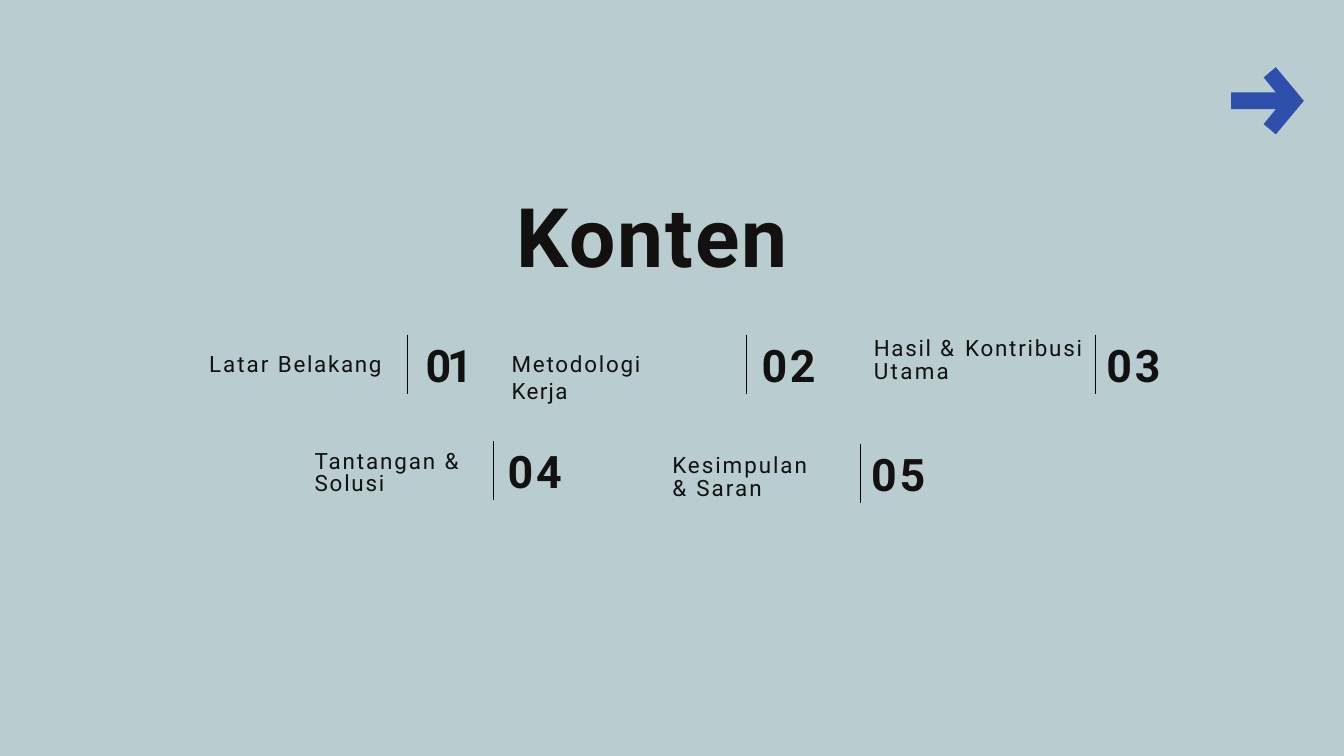
from dataclasses import dataclass

from lxml.etree import SubElement
from pptx import Presentation
from pptx.dml.color import RGBColor
from pptx.enum.shapes import MSO_CONNECTOR, MSO_SHAPE
from pptx.enum.text import MSO_ANCHOR, MSO_AUTO_SIZE, PP_ALIGN
from pptx.oxml.ns import qn
from pptx.util import Pt

COLORS = {"bg": "B9CCD0", "text": "12110F", "line": "000000", "arrow": "2E4FAC"}
FONT = "Roboto"
WIDTH, HEIGHT = 1440, 810
DIVIDER_H = 63.5
ARROW = [(1396.8, 108.4), (1367.3, 72.4), (1353.6, 83.2), (1366.6, 99.4),
         (1319, 99.4), (1319, 117.4), (1366.6, 117.4), (1353.6, 133.2),
         (1367.3, 144.4)]


@dataclass
class Item:
    number: str
    spacing: float
    label: list[tuple[str, float]]
    label_x: float
    label_y: float
    label_w: float
    divider_x: float
    divider_y: float
    number_x: float
    number_w: float = 70
    two_lines: bool = False


ITEMS = [
    Item("01", -4.4, [("Latar ", 2.1), ("Belakang", 1.8)],
         223.2, 374.4, 186.5, 436.3, 358.6, 455, number_w=55.4),
    Item("02", 2.8, [("Metodologi ", 1.9), ("Kerja", 1.4)],
         547.2, 374.4, 208.8, 799.9, 358.6, 815),
    Item("03", 3.2, [("Hasil ", 1.8), ("& ", 2.9), ("Kontribusi ", 1.9), ("Utama", 2.5)],
         935.3, 357.1, 232, 1174, 358.6, 1184.4, two_lines=True),
    Item("04", 3, [("Tantangan ", 2), ("& ", 2.4), ("Solusi", 1.9)],
         336.2, 477.6, 161.3, 528.2, 472.3, 542.9, two_lines=True),
    Item("05", 3.1, [("Kesimpulan ", 2.1), ("& ", 2.4), ("Saran", 2.2)],
         719.3, 482.6, 172.1, 921.6, 475.2, 932.4, two_lines=True),
]


def rgb(name: str) -> RGBColor:
    return RGBColor.from_string(COLORS[name])


def paint(sp, color: str) -> None:
    sp.shadow.inherit = False
    sp.fill.solid()
    sp.fill.fore_color.rgb = rgb(color)
    sp.line.fill.background()


def write(sp, runs: list[tuple[str, float]], *, size: float, bold: bool = False,
          inset: float = 0.7, leading: float | None = None) -> None:
    tf = sp.text_frame
    tf.word_wrap = True
    tf.auto_size = MSO_AUTO_SIZE.NONE
    tf.vertical_anchor = MSO_ANCHOR.TOP
    tf.margin_right = tf.margin_bottom = 0
    tf.margin_left = Pt(1)
    tf.margin_top = Pt(inset)
    p = tf.paragraphs[0]
    p.alignment = PP_ALIGN.LEFT
    if leading:
        p.line_spacing = Pt(leading)
    for text, spacing in runs:
        r = p.add_run()
        r.text = text
        r.font.name = FONT
        r.font.size = Pt(size)
        r.font.bold = bold
        r.font.color.rgb = rgb("text")
        r.font._element.set("spc", str(round(spacing * 100)))


def add_text(slide, x: float, y: float, w: float, h: float, runs, **fmt) -> None:
    write(slide.shapes.add_textbox(Pt(x), Pt(y), Pt(w), Pt(h)), runs, **fmt)


def add_divider(slide, x: float, y: float) -> None:
    line = slide.shapes.add_connector(
        MSO_CONNECTOR.STRAIGHT, Pt(x), Pt(y), Pt(x), Pt(y + DIVIDER_H))
    line.line.color.rgb = rgb("line")
    line.line.width = Pt(0.75)
    SubElement(line._element.spPr, qn("a:effectLst"))


def add_item(slide, item: Item) -> None:
    add_divider(slide, item.divider_x, item.divider_y)
    if item.two_lines:
        height, fmt = 54.7, {"inset": 5.8, "leading": 24}
    else:
        height, fmt = 31, {}
    add_text(slide, item.label_x, item.label_y, item.label_w, height,
             item.label, size=24, **fmt)
    add_text(slide, item.number_x, item.divider_y + 2, item.number_w, 59.8,
             [(item.number, item.spacing)], size=48, bold=True, inset=1.2)


def main() -> None:
    prs = Presentation()
    prs.slide_width, prs.slide_height = Pt(WIDTH), Pt(HEIGHT)
    slide = prs.slides.add_slide(prs.slide_layouts[5])
    title = slide.shapes.title

    backdrop = slide.shapes.add_shape(MSO_SHAPE.RECTANGLE, 0, 0, Pt(WIDTH), Pt(HEIGHT))
    paint(backdrop, "bg")
    slide.shapes._spTree.remove(backdrop._element)
    slide.shapes._spTree.insert(2, backdrop._element)

    builder = slide.shapes.build_freeform(*ARROW[0], scale=Pt(1))
    builder.add_line_segments(ARROW[1:], close=True)
    paint(builder.convert_to_shape(), "arrow")

    title.left, title.top = Pt(552.2), Pt(197.3)
    title.width, title.height = Pt(335.5), Pt(107.3)
    write(title, [("Konten", 2.2)], size=88, bold=True, inset=1.7)

    for item in ITEMS:
        add_item(slide, item)

    prs.save("out.pptx")


if __name__ == "__main__":
    main()
